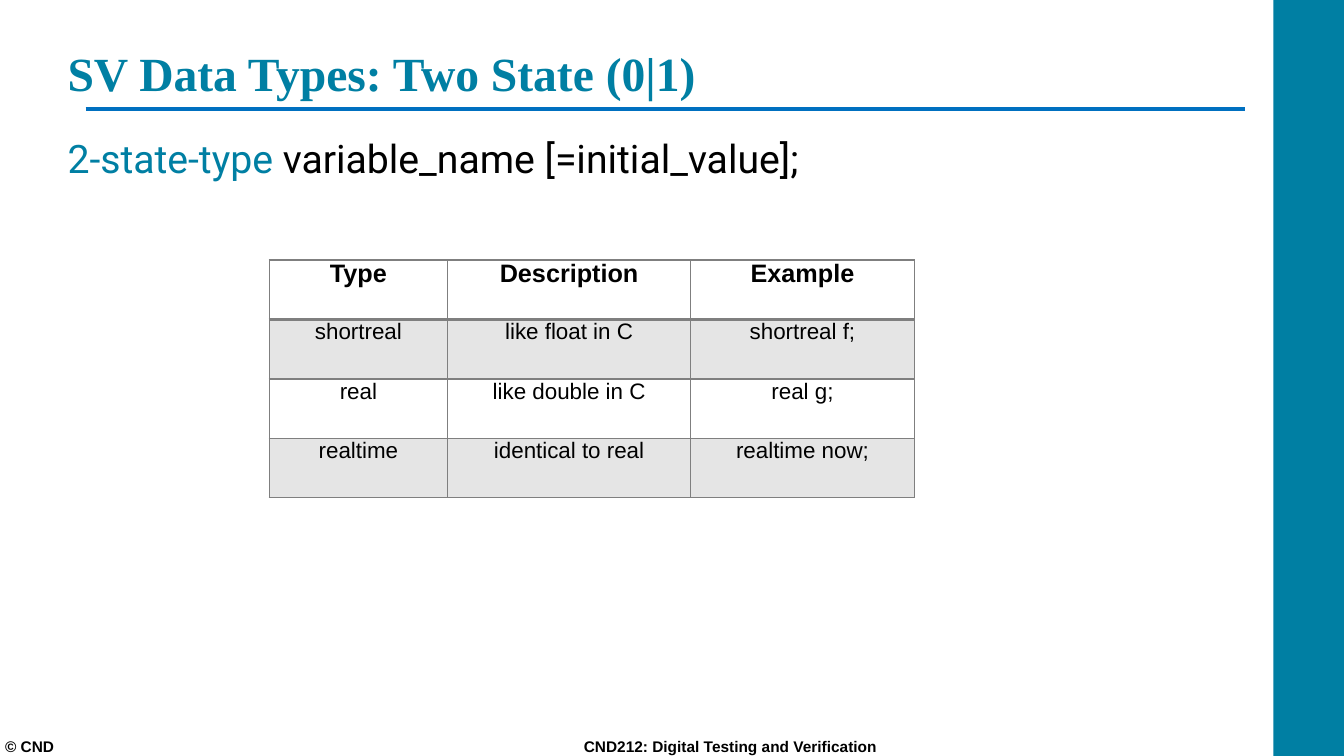
from lxml import etree
from pptx import Presentation
from pptx import util as u
from pptx.dml.color import RGBColor
from pptx.enum import shapes, text
from pptx.oxml import ns

COLORS = {"teal": "007FA3", "blue": "0070C0", "gray": "7F7F7F", "black": "000000"}
ROWS = [
    ("Type", "Description", "Example"),
    ("shortreal", "like float in C", "shortreal f;"),
    ("real", "like double in C", "real g;"),
    ("realtime", "identical to real", "realtime now;"),
]


class SlideBuilder:
    def __init__(self, slide, colors):
        self.slide = slide
        self.colors = colors

    def rgb(self, name):
        return RGBColor.from_string(self.colors[name])

    def style(self, p, font, size, color="black", bold=False):
        p.font.name, p.font.size, p.font.bold = font, u.Pt(size), bold
        p.font.color.rgb = self.rgb(color)

    def bar(self, color, *box):
        sp = self.slide.shapes.add_shape(
            shapes.MSO_SHAPE.RECTANGLE, *map(u.Inches, box))
        sp.shadow.inherit = False
        sp.fill.solid()
        sp.fill.fore_color.rgb = self.rgb(color)
        sp.line.fill.background()

    def rule(self, color, width, *ends):
        line = self.slide.shapes.add_connector(
            shapes.MSO_CONNECTOR.STRAIGHT, *map(u.Inches, ends))
        line.line.color.rgb = self.rgb(color)
        line.line.width = u.Pt(width)
        etree.SubElement(line._element.spPr, ns.qn("a:effectLst"))

    def text(self, box, runs, font, size, bold=False, anchor=text.MSO_ANCHOR.TOP):
        """Add one paragraph of (wording, color) runs and return it."""
        tf = self.slide.shapes.add_textbox(*map(u.Inches, box)).text_frame
        tf.word_wrap = True
        tf.vertical_anchor = anchor
        tf.margin_left = tf.margin_right = tf.margin_top = tf.margin_bottom = 0
        p = tf.paragraphs[0]
        self.style(p, font, size, runs[0][1], bold)
        for wording, color in runs:
            r = p.add_run()
            r.text = wording
            r.font.color.rgb = self.rgb(color)
        return p

    def tab_stop(self, p, position):
        tabs = etree.SubElement(p._p.get_or_add_pPr(), ns.qn("a:tabLst"))
        etree.SubElement(tabs, ns.qn("a:tab"), pos=str(u.Inches(position)), algn="l")
        # The schema wants tab stops ahead of the default run properties.
        tabs.getparent().insert(0, tabs)

    def borders(self, cell, color, **widths):
        """Set borders in points, keyed by side: L, R, T, B."""
        tcPr = cell._tc.get_or_add_tcPr()
        for i, (side, width) in enumerate(widths.items()):
            ln = etree.Element(ns.qn("a:ln" + side), w=str(u.Pt(width)))
            fill = etree.SubElement(ln, ns.qn("a:solidFill"))
            etree.SubElement(fill, ns.qn("a:srgbClr"), val=self.colors[color])
            tcPr.insert(i, ln)

    def table(self, left, top, col_widths, row_height, rows):
        table = self.slide.shapes.add_table(
            len(rows), len(col_widths), u.Inches(left), u.Inches(top),
            u.Inches(sum(col_widths)), u.Inches(row_height * len(rows))).table
        table.first_row = table.horz_banding = False
        for col, width in zip(table.columns, col_widths):
            col.width = u.Inches(width)
        for i, row in enumerate(rows):
            table.rows[i].height = u.Inches(row_height)
            for j, wording in enumerate(row):
                self.cell(table.cell(i, j), wording, i)

    def cell(self, cell, wording, row):
        header = row == 0
        cell.margin_left = cell.margin_right = cell.margin_top = cell.margin_bottom = 0
        p = cell.text_frame.paragraphs[0]
        p.text = wording
        p.alignment = text.PP_ALIGN.CENTER
        self.style(p, "Arial", 18 if header else 16, bold=header)
        if row % 2:
            cell.fill.solid()
            cell.fill.fore_color.rgb = self.rgb("gray")
            shade = cell._tc.tcPr.find(".//" + ns.qn("a:srgbClr"))
            etree.SubElement(shade, ns.qn("a:alpha"), val="20000")
        else:
            cell.fill.background()
        self.borders(cell, "gray", L=1, R=1, T=2 if row == 1 else 1, B=2 if header else 1)


def main():
    prs = Presentation()
    prs.slide_width, prs.slide_height = u.Inches(13.33), u.Inches(7.5)
    s = SlideBuilder(prs.slides.add_slide(prs.slide_layouts[6]), COLORS)

    s.bar("teal", 12.63, 0, 0.7, 7.5)
    s.rule("blue", 3, 0.85, 1.08, 12.35, 1.08)
    s.text((0.67, 0.24, 12, 0.76), [("SV Data Types: Two State (0|1)", "teal")],
           "Times New Roman", 34, bold=True, anchor=text.MSO_ANCHOR.BOTTOM)
    syntax = s.text((0.67, 1.33, 12, 5.37),
                    [("2-state-type ", "teal"),
                     ("variable_name [=initial_value];", "black")], "Roboto", 28)
    syntax.space_before = u.Pt(15)
    footer = s.text((0.05, 7.24, 12.53, 0.26),
                    [("© CND\tCND212: Digital Testing and Verification", "black")],
                    "Arial", 11, bold=True, anchor=text.MSO_ANCHOR.BOTTOM)
    s.tab_stop(footer, 5.74)
    s.table(2.67, 2.58, (1.77, 2.41, 2.22), 0.59, ROWS)

    prs.save("out.pptx")


if __name__ == "__main__":
    main()
